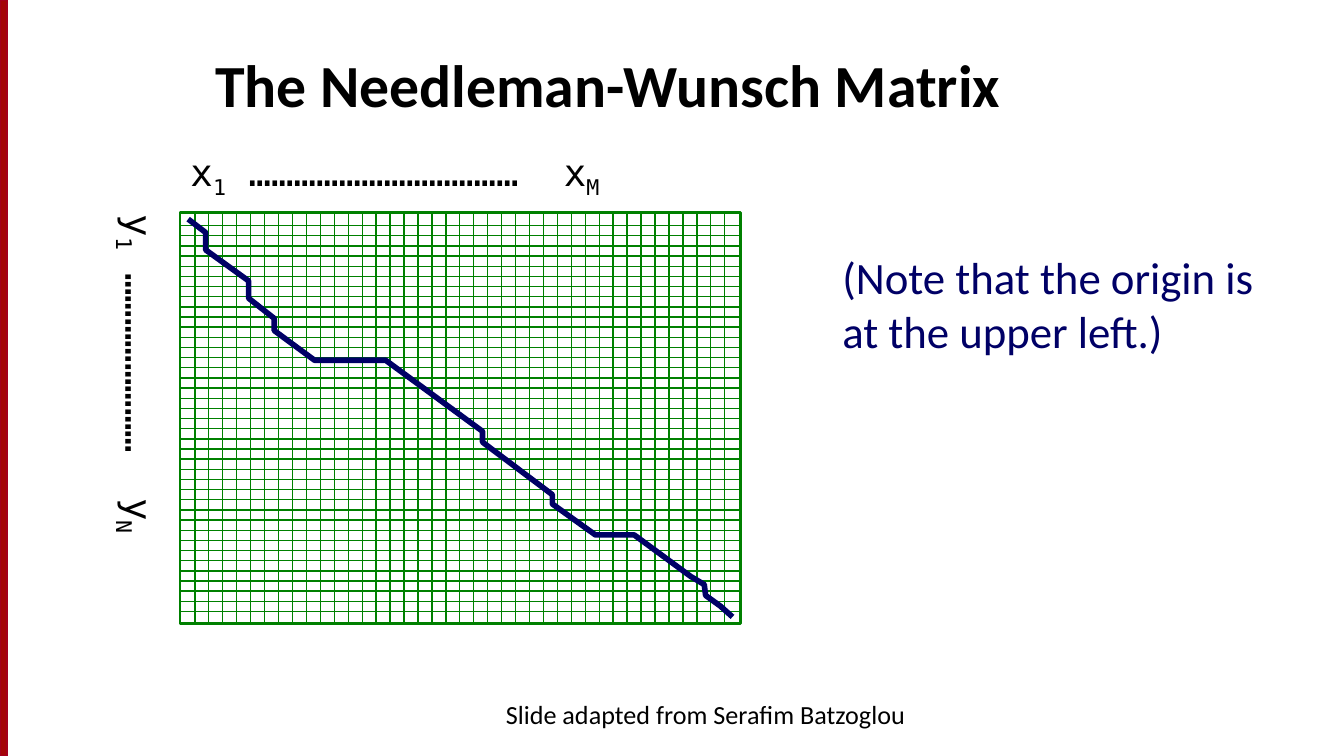
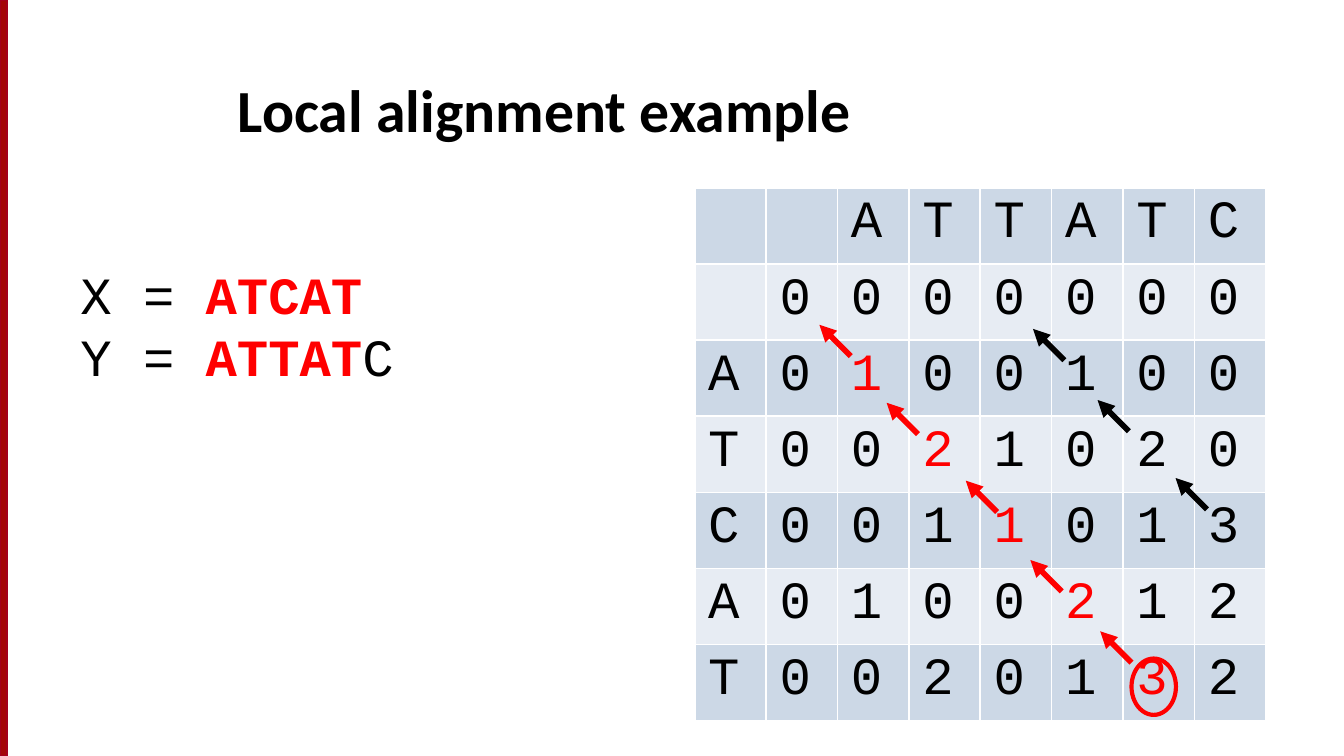
from dataclasses import dataclass
from lxml.etree import SubElement as Sub
from pptx import Presentation as Deck
from pptx.dml.color import RGBColor as Rgb
from pptx.enum.shapes import MSO_CONNECTOR as Link, MSO_SHAPE as Kind
from pptx.enum.text import MSO_ANCHOR as Anchor, MSO_AUTO_SIZE as Auto, PP_ALIGN as Align
from pptx.oxml.ns import qn
from pptx.util import Pt


@dataclass(frozen=True)
class Theme:
    black: str = "000000"
    white: str = "FFFFFF"
    red: str = "FF0000"
    green: str = "008000"
    navy: str = "000066"
    band: str = "A40508"
    edge: str = "A4001D"
    dark: str = "CCD8E6"
    pale: str = "E7ECF3"
    sans: str = "Calibri"
    code: str = "Courier New"
    mono: str = "DejaVu Sans Mono"
    head: int = 32
    cell: int = 28
    note: int = 24
    axis: int = 20
    foot: int = 14


class Maker:
    def __init__(self, look):
        self.look = look
        self.deck = Deck()
        self.deck.slide_width, self.deck.slide_height = Pt(720), Pt(405)
        self.page = None

    def slide(self, title, box):
        first = self.page is None
        self.page = self.deck.slides.add_slide(self.deck.slide_layouts[5])
        if first:
            self.band()
        head = self.page.shapes.title
        head.left, head.top, head.width, head.height = map(Pt, box)
        frame = head.text_frame
        frame.text = title
        frame.auto_size = Auto.NONE
        frame.vertical_anchor = Anchor.BOTTOM
        frame.paragraphs[0].alignment = Align.LEFT
        self.style(frame.paragraphs[0].runs[0], self.look.sans, self.look.head, bold=True)

    def band(self):
        bar = self.shape(Kind.RECTANGLE, (-200.5, 200.7, 405, 3.6),
                         self.look.edge, 0.75, self.look.band)
        bar.rotation = 90
        bar.element.nvSpPr.cNvPr.id = 20
        self.deck.slide_master.shapes.element.append(bar.element)

    def style(self, run, face, size, color=None, bold=False, base=0, gap=0):
        font = run.font
        font.name, font.size, font.bold = face, Pt(size), bold
        font.color.rgb = Rgb.from_string(color or self.look.black)
        props = run._r.get_or_add_rPr()
        if base:
            props.set("baseline", str(base * 1000))
        if gap:
            props.set("spc", str(gap * 100))

    def text(self, box, lines, face, size, align=Align.LEFT, turn=0):
        area = self.page.shapes.add_textbox(*map(Pt, box))
        area.rotation = turn
        frame = area.text_frame
        frame.word_wrap = True
        for i, line in enumerate(lines):
            para = frame.add_paragraph() if i else frame.paragraphs[0]
            para.alignment = align
            for words, opts in line:
                run = para.add_run()
                run.text = words
                self.style(run, face, size, **opts)

    def outline(self, item, color, width):
        item.line.color.rgb = Rgb.from_string(color)
        item.line.width = Pt(width)

    def finish(self, item, color, width, fill=None):
        item.shadow.inherit = False
        self.outline(item, color, width)
        if fill:
            item.fill.solid()
            item.fill.fore_color.rgb = Rgb.from_string(fill)
        else:
            item.fill.background()
        return item

    def shape(self, kind, box, color, width, fill=None):
        item = self.page.shapes.add_shape(kind, *map(Pt, box))
        return self.finish(item, color, width, fill)

    def trail(self, spots, color, width):
        spots = [(Pt(x), Pt(y)) for x, y in spots]
        pen = self.page.shapes.build_freeform(*spots[0])
        pen.add_line_segments(spots[1:], close=False)
        self.finish(pen.convert_to_shape(), color, width)

    def line(self, ends, color, width, arrow=False):
        item = self.page.shapes.add_connector(Link.STRAIGHT, *map(Pt, ends))
        self.outline(item, color, width)
        if arrow:
            Sub(item.line._get_or_add_ln(), qn("a:tailEnd"), type="triangle")
        Sub(item.element.spPr, qn("a:effectLst"))

    def border(self, cell):
        props = cell._tc.get_or_add_tcPr()
        for i, side in enumerate(("lnL", "lnR", "lnT", "lnB")):
            edge = props.makeelement(qn("a:" + side), {"w": str(Pt(0.96))})
            fill = Sub(edge, qn("a:solidFill"))
            Sub(fill, qn("a:srgbClr"), val=self.look.white)
            props.insert(i, edge)

    def table(self, box, rows, path_at):
        look = self.look
        grid = self.page.shapes.add_table(len(rows), len(rows[0]), *map(Pt, box)).table
        grid.first_row = grid.horz_banding = False
        for r, row in enumerate(rows):
            for c, mark in enumerate(row):
                cell = grid.cell(r, c)
                cell.fill.solid()
                cell.fill.fore_color.rgb = Rgb.from_string(look.pale if r % 2 else look.dark)
                self.border(cell)
                if mark:
                    cell.text_frame.text = mark
                    color = look.red if (r, c) in path_at else look.black
                    self.style(cell.text_frame.paragraphs[0].runs[0], look.code, look.cell, color)


def axis(name, last, dots):
    sub = {"base": -25}
    return [[(name, {}), ("1", sub), (" " + "…" * dots, {}),
             (" ", {"gap": 12}), (name, {}), (last, sub)]]


def matrix(make):
    look = make.look
    make.slide("The Needleman-Wunsch Matrix", (108, 0, 612, 67.5))
    make.text((240, 370.8, 276, 26.6), [[("Slide adapted from Serafim Batzoglou", {})]],
              look.sans, look.foot, Align.CENTER)
    left, top, wide, high = 96.5, 113.8, 300.2, 220.3
    make.shape(Kind.RECTANGLE, (left, top, wide, high), look.green, 1.5)
    for i in range(39):
        y = 327.6 - i * 5.44
        make.line((left, y, left + wide, y), look.green, 0.75)
    for i in range(39):
        x = 104.4 + i * 7.47
        make.line((x, top + high, x, top), look.green, 0.75)
    make.trail([(392.4, 330.5), (385.9, 324.7), (378, 319), (377.3, 313.2), (370.1, 308.9),
                (339.8, 286.6), (319, 286.6), (295.9, 270), (295.9, 265), (258.5, 236.9),
                (258.5, 231.1), (206.6, 193), (168.5, 193), (146.9, 177.1), (146.9, 170.6),
                (133.2, 159.8), (133.2, 150.5), (110.2, 133.9), (110.2, 124.6),
                (100.8, 117.4)], look.navy, 3)
    make.text((95, 76.3, 314.6, 34.6), axis("x", "M", 12), look.mono, look.axis)
    make.text((-43.2, 207.4, 233.3, 34.6), axis("y", "N", 8), look.mono, look.axis, turn=90)
    make.text((444.2, 130.3, 252, 93.6),
              [[("(Note that the origin is at the upper left.)", {"color": look.navy})]],
              look.sans, look.note)


def local(make):
    look = make.look
    make.slide("Local alignment example", (120.2, 22.6, 588.2, 58.3))
    rows = [["", "", *"ATTATC"], ["", *"0000000"]]
    rows += map(list, ("A0100100", "T0021020", "C0011013", "A0100212", "T0020132"))
    make.table((372.2, 100.6, 306, 285.6), rows, {(i, i) for i in range(2, 7)})
    arrows = {
        look.black: [(646.6, 272.9), (604.8, 231.1), (570.2, 193)],
        look.red: [(606.2, 355), (568.8, 316.8), (534.2, 274.3), (491.8, 232.6), (455.8, 190.8)],
    }
    for color, starts in arrows.items():
        for x, y in starts:
            make.line((x, y, x - 16.8, y - 16.8), color, 3, arrow=True)
    hit = {"color": look.red, "bold": True}
    make.text((36, 136.8, 234, 108),
              [[("X = ", {}), ("ATCAT", hit)],
               [("Y = ", {}), ("ATTAT", hit), ("C", {})]], look.code, look.cell)
    make.shape(Kind.OVAL, (606.2, 352.8, 23.8, 30.2), look.red, 2.25)


def main():
    make = Maker(Theme())
    matrix(make)
    local(make)
    make.deck.save("out.pptx")


if __name__ == "__main__":
    main()
